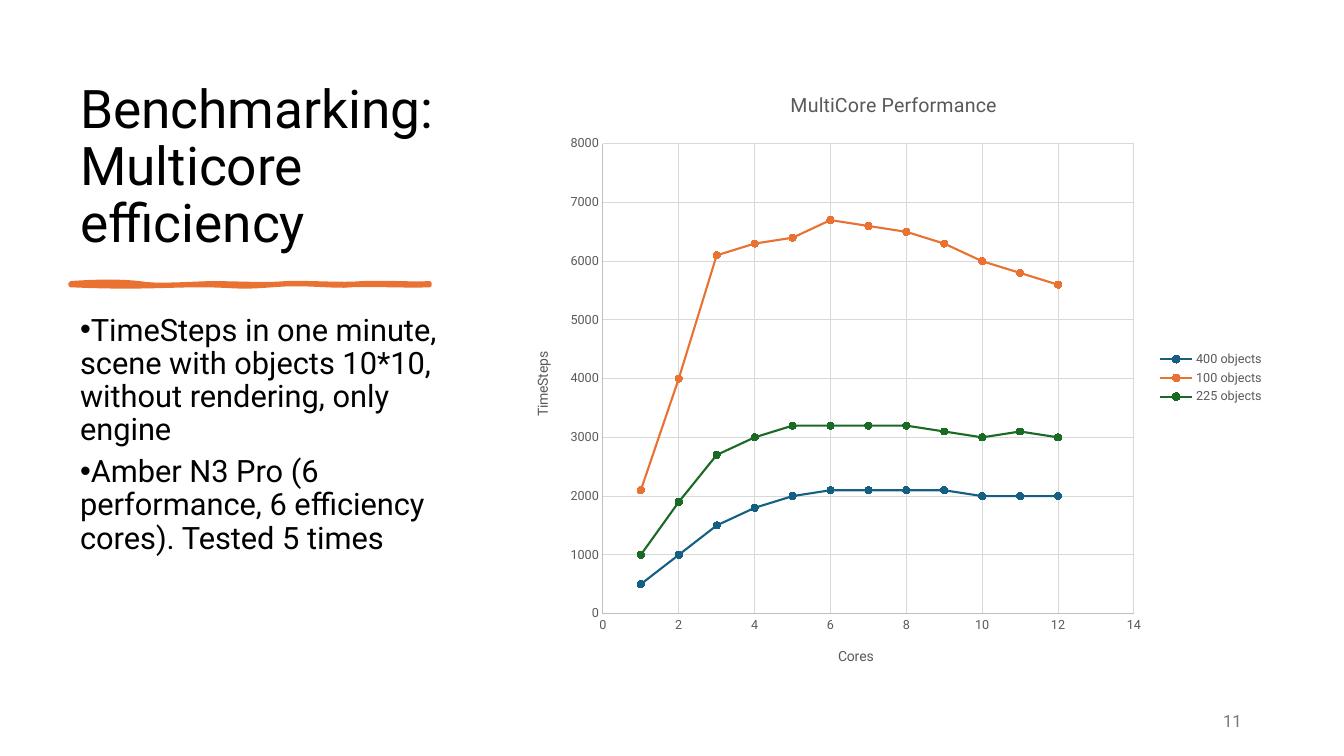
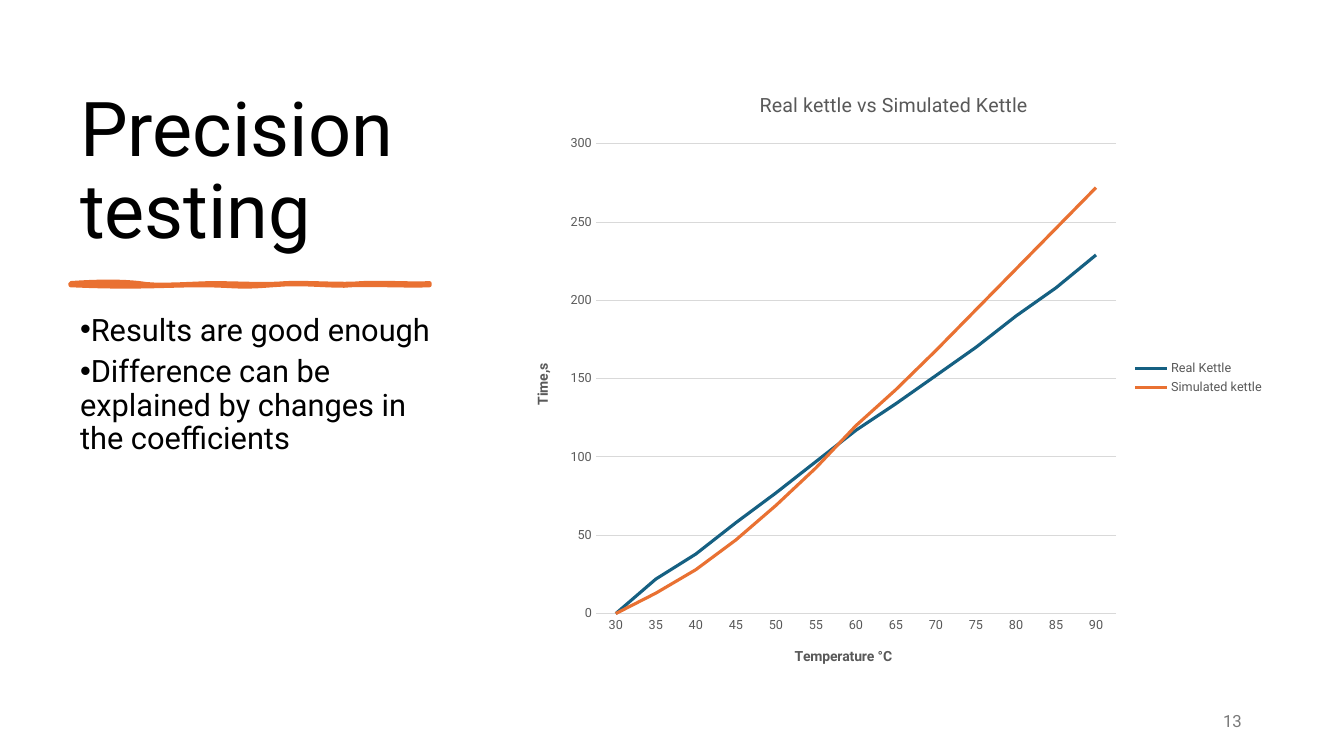
from dataclasses import dataclass

from lxml import etree
from pptx import Presentation
from pptx import util as u
from pptx.chart import data as chart_data
from pptx.dml.color import RGBColor
from pptx.enum import chart as ch
from pptx.enum import text as t
from pptx.oxml.ns import qn

COLUMNS, ROWS = 48, 60


@dataclass(frozen=True)
class Theme:
    """Colours, font and type sizes of the deck."""
    font: str = "Roboto"
    ink: str = "000000"
    label: str = "595959"
    page_number: str = "797979"
    grid: str = "D9D9D9"
    axis: str = "BFBFBF"
    blue: str = "156082"
    orange: str = "E97132"
    green: str = "196B24"
    body_size: int = 22
    number_size: int = 12
    chart_title_size: int = 14
    axis_title_size: int = 10
    tick_size: int = 9


THEME = Theme()

# Wavy rule under the title: cubic curves (two handles, end point) from (0, 0)
RULE_UNITS = 356
RULE_CURVES = [
    ((27, -2), (51, -2), (68, 0)), ((85, 3), (107, 1), (139, 0)),
    ((171, 0), (190, 2), (214, 0)), ((238, -1), (269, 2), (289, 0)),
    ((309, -1), (342, 1), (356, 0)), ((356, 1), (356, 2), (356, 2)),
    ((338, 3), (294, 1), (278, 2)), ((262, 4), (234, -1), (200, 2)),
    ((165, 5), (161, 2), (129, 2)), ((96, 2), (62, 5), (0, 2)),
]


def curve_points(start, curves, steps=8):
    """Turn a chain of cubic curves into short straight steps."""
    points = []
    for first, second, end in curves:
        for step in range(1, steps + 1):
            b = step / steps
            a = 1 - b
            points.append(tuple(
                a**3 * p + 3 * a * a * b * q + 3 * a * b * b * r + b**3 * s
                for p, q, r, s in zip(start, first, second, end)))
        start = end
    return points


class SlideBuilder:
    def __init__(self, deck, theme):
        self.deck, self.theme = deck, theme
        self.page = None

    def new_page(self):
        self.page = self.deck.slides.add_slide(self.deck.slide_layouts[1])

    # Grid lengths
    def across(self, columns):
        return round(self.deck.slide_width * columns / COLUMNS)

    def down(self, rows):
        return round(self.deck.slide_height * rows / ROWS)

    def area(self, left, top, width, height):
        return (self.across(left), self.down(top),
                self.across(width), self.down(height))

    # Text
    def set_font(self, font, size, color, bold=False):
        font.name, font.size, font.bold = self.theme.font, u.Pt(size), bold
        font.color.rgb = RGBColor.from_string(color)

    def add_span(self, para, words, size, color, bold=False):
        span = para.add_run()
        span.text = words
        self.set_font(span.font, size, color, bold)

    def place(self, box, area, anchor):
        box.left, box.top, box.width, box.height = self.area(*area)
        frame = box.text_frame
        frame.word_wrap = True
        frame.auto_size = t.MSO_AUTO_SIZE.NONE
        frame.vertical_anchor = anchor
        return frame

    def title(self, words, size):
        frame = self.place(self.page.shapes.title, (2.5, 5.6, 13.5, 15),
                           t.MSO_ANCHOR.BOTTOM)
        para = frame.paragraphs[0]
        para.alignment = t.PP_ALIGN.LEFT
        para.line_spacing = 0.9
        self.add_span(para, words, size, self.theme.ink)

    def bullets(self, items):
        frame = self.place(self.page.placeholders[1], (2.5, 24.56, 13.5, 29.84),
                           t.MSO_ANCHOR.TOP)
        for index, words in enumerate(items):
            para = frame.add_paragraph() if index else frame.paragraphs[0]
            props = para._p.get_or_add_pPr()
            props.set("marL", "0")
            props.set("indent", str(-u.Inches(0.25)))
            etree.SubElement(props, qn("a:buFont")).set("typeface", "Arial")
            etree.SubElement(props, qn("a:buChar")).set("char", "•")
            para.line_spacing = 0.9
            para.space_before, para.space_after = u.Pt(0), u.Pt(6)
            self.add_span(para, words, self.theme.body_size, self.theme.ink)

    def page_number(self, number):
        area = (33.91, 55.6, 10.8, 3.2)
        box = self.page.shapes.add_textbox(*self.area(*area))
        para = self.place(box, area, t.MSO_ANCHOR.MIDDLE).paragraphs[0]
        para.alignment = t.PP_ALIGN.RIGHT
        self.add_span(para, str(number), self.theme.number_size,
                      self.theme.page_number)

    # Wavy rule
    def rule(self):
        left, top = self.across(2.52), self.down(22.48)
        unit = self.across(12.82) / RULE_UNITS
        outline = self.page.shapes.build_freeform(left, top)
        outline.add_line_segments(
            [(left + x * unit, top + y * unit)
             for x, y in curve_points((0, 0), RULE_CURVES)], close=True)
        shape = outline.convert_to_shape()
        shape.shadow.inherit = False
        shape.fill.solid()
        shape.fill.fore_color.rgb = RGBColor.from_string(self.theme.orange)
        self.stroke(shape.line, self.theme.orange, 3)
        etree.SubElement(shape._element.spPr.find(qn("a:ln")), qn("a:round"))

    def stroke(self, line, color, width):
        line.color.rgb = RGBColor.from_string(color)
        line.width = u.Pt(width)

    # Charts
    def chart(self, kind, data, title, colors, width):
        chart = self.page.shapes.add_chart(
            kind, *self.area(18.33, 5.6, 27.18, 48.8), data).chart
        self.set_font(chart.font, self.theme.tick_size, self.theme.label)
        chart.has_title = True
        self.add_span(chart.chart_title.text_frame.paragraphs[0], title,
                      self.theme.chart_title_size, self.theme.label)
        chart.has_legend = True
        chart.legend.position = ch.XL_LEGEND_POSITION.RIGHT
        chart.legend.include_in_layout = False
        self.set_font(chart.legend.font, self.theme.tick_size, self.theme.label)
        plot = chart.plots[0]
        plot.vary_by_categories = False
        for series, color in zip(plot.series, colors):
            series.smooth = False
            self.stroke(series.format.line, color, width)
        return chart

    def axis(self, axis, title, line, grid=True, bold=False, limits=None):
        axis.has_title = True
        self.add_span(axis.axis_title.text_frame.paragraphs[0], title,
                      self.theme.axis_title_size, self.theme.label, bold)
        axis.major_tick_mark = axis.minor_tick_mark = ch.XL_TICK_MARK.NONE
        self.set_font(axis.tick_labels.font, self.theme.tick_size,
                      self.theme.label)
        if limits:
            axis.minimum_scale, axis.maximum_scale, axis.major_unit = limits
        if line:
            self.stroke(axis.format.line, line, 0.75)
        else:
            axis.format.line.fill.background()
        axis.has_major_gridlines = grid
        if grid:
            self.stroke(axis.major_gridlines.format.line, self.theme.grid, 0.75)

    def scatter(self, title, series_rows, colors):
        data = chart_data.XyChartData()
        for name, values in series_rows:
            series = data.add_series(name)
            for x, y in enumerate(values, start=1):
                series.add_data_point(x, y)
        chart = self.chart(ch.XL_CHART_TYPE.XY_SCATTER_LINES, data, title,
                           colors, 1.5)
        for series, color in zip(chart.plots[0].series, colors):
            marker = series.marker
            marker.style, marker.size = ch.XL_MARKER_STYLE.CIRCLE, 5
            marker.format.fill.solid()
            marker.format.fill.fore_color.rgb = RGBColor.from_string(color)
            self.stroke(marker.format.line, color, 0.75)
        return chart

    def lines(self, title, categories, series_rows, colors):
        data = chart_data.CategoryChartData()
        data.categories = categories
        for name, values in series_rows:
            data.add_series(name, values)
        return self.chart(ch.XL_CHART_TYPE.LINE, data, title, colors, 2.25)

    # Parts found on every slide
    def frame_page(self, title, size, items, number):
        self.new_page()
        self.title(title, size)
        self.rule()
        self.bullets(items)
        self.page_number(number)


def multicore_slide(builder):
    theme = builder.theme
    builder.frame_page(
        "Benchmarking: Multicore efficiency", 38,
        ["TimeSteps in one minute, scene with objects 10*10, "
         "without rendering, only engine",
         "Amber N3 Pro (6 performance, 6 efficiency cores). Tested 5 times"],
        11)
    chart = builder.scatter("MultiCore Performance", [
        ("400 objects", [500, 1000, 1500, 1800, 2000, 2100,
                         2100, 2100, 2100, 2000, 2000, 2000]),
        ("100 objects", [2100, 4000, 6100, 6300, 6400, 6700,
                         6600, 6500, 6300, 6000, 5800, 5600]),
        ("225 objects", [1000, 1900, 2700, 3000, 3200, 3200,
                         3200, 3200, 3100, 3000, 3100, 3000]),
    ], [theme.blue, theme.orange, theme.green])
    builder.axis(chart.category_axis, "Cores", theme.axis, limits=(0, 14, 2))
    builder.axis(chart.value_axis, "TimeSteps", theme.axis,
                 limits=(0, 8000, 1000))


def precision_slide(builder):
    theme = builder.theme
    builder.frame_page(
        "Precision testing", 54,
        ["Results are good enough",
         "Difference can be explained by changes in the coefficients"],
        13)
    temperatures = [str(degrees) for degrees in range(30, 91, 5)]
    chart = builder.lines("Real kettle vs Simulated Kettle", temperatures, [
        ("Real Kettle", [0, 22, 38, 58, 77, 97, 117,
                         134, 152, 170, 190, 208, 229]),
        ("Simulated kettle", [0, 13, 28, 47, 69, 93, 120,
                              143, 168, 194, 220, 246, 272]),
    ], [theme.blue, theme.orange])
    builder.axis(chart.category_axis, "Temperature °C", theme.grid,
                 grid=False, bold=True)
    builder.axis(chart.value_axis, "Time,s", None, bold=True,
                 limits=(0, 300, 50))


def main():
    deck = Presentation()
    deck.slide_width, deck.slide_height = u.Inches(13.33), u.Inches(7.5)
    builder = SlideBuilder(deck, THEME)
    multicore_slide(builder)
    precision_slide(builder)
    deck.save("out.pptx")


if __name__ == "__main__":
    main()
